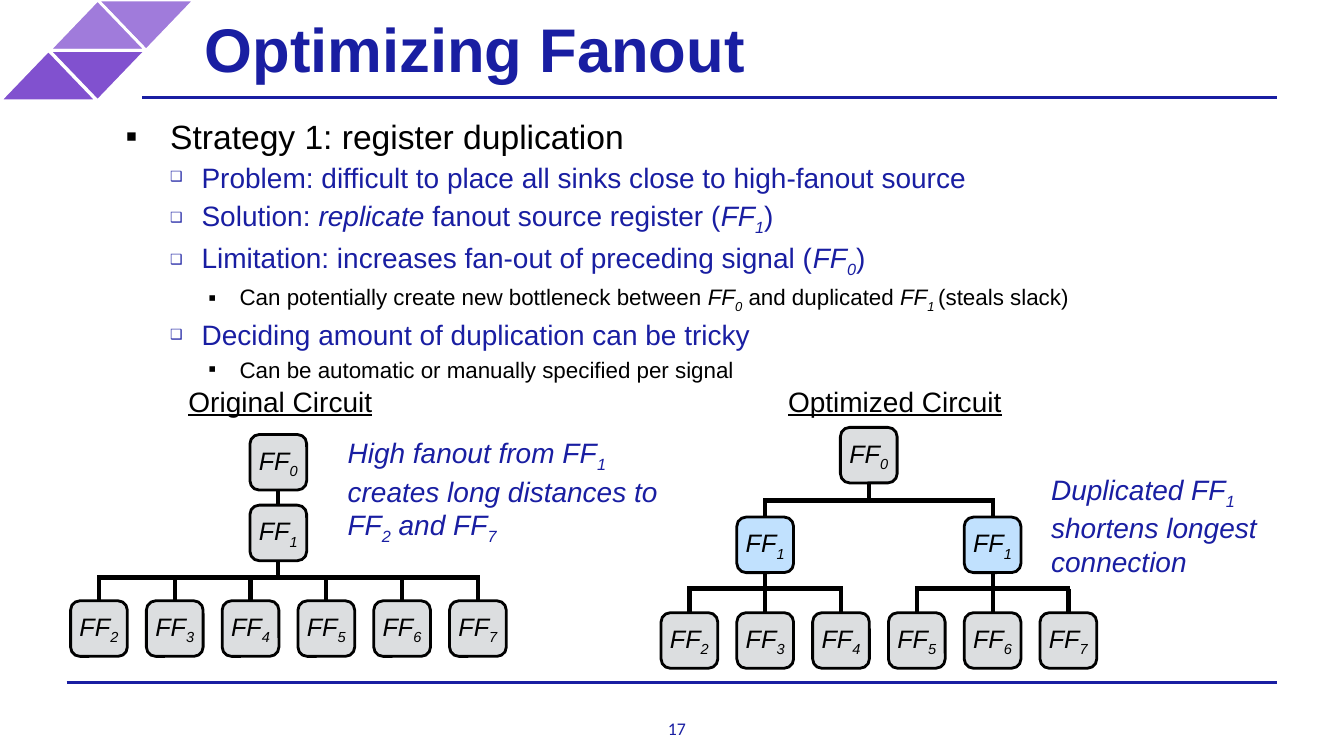
"""Build the slide on optimizing fanout by register duplication."""
from dataclasses import dataclass
from typing import NamedTuple

from lxml import etree
from pptx import Presentation
from pptx import util as u
from pptx.dml import color
from pptx.enum import shapes, text
from pptx.oxml import ns

NAVY, BLACK, WHITE = "191EA2", "000000", "FFFFFF"
GREY, SKY, LILAC, PURPLE = "DCDEE0", "C1E1FE", "A07BDB", "8151CF"
WIDE, HIGH, STEP = 1.43, 1.4, 1.91
LEFT, MID = text.PP_ALIGN.LEFT, text.PP_ALIGN.CENTER
TOP, CORE = text.MSO_ANCHOR.TOP, text.MSO_ANCHOR.MIDDLE


class Bit(NamedTuple):
    text: str
    ital: bool = False
    sub: bool = False


class Style(NamedTuple):
    size: float
    ink: str = BLACK
    bold: bool = False
    line: bool = False
    font: str = "Arial"


class Level(NamedTuple):
    style: Style
    left: float
    hang: float
    gap: float
    mark: str
    scale: int


class Item(NamedTuple):
    level: int
    bits: list[Bit]


class Note(NamedTuple):
    x: float
    y: float
    w: float
    h: float
    bits: list[Bit]
    style: Style
    inset: float = 0.15
    pad: float = 0
    align: text.PP_ALIGN = LEFT
    wrap: bool = True


class Tile(NamedTuple):
    x: float
    y: float
    fill: str
    turn: int


@dataclass
class Node:
    x: float
    y: float
    num: int
    fill: str = GREY

    @property
    def mid(self) -> float:
        return self.x + WIDE / 2

    @property
    def base(self) -> float:
        return self.y + HIGH


def ff(num: int) -> list[Bit]:
    return [Bit("FF", True), Bit(str(num), True, True)]


LEVELS = [
    Level(Style(24), 1.27, 1.12, 6, "▪", 100),
    Level(Style(20, NAVY), 2.06, 0.79, 3, "❑", 50),
    Level(Style(16), 3.02, 0.79, 3, "▪", 100),
]
ITEMS = [
    Item(0, [Bit("Strategy 1: register duplication")]),
    Item(1, [Bit("Problem: difficult to place all sinks close to high-fanout source")]),
    Item(1, [Bit("Solution: "), Bit("replicate", True),
             Bit(" fanout source register ("), *ff(1), Bit(")")]),
    Item(1, [Bit("Limitation: increases fan-out of preceding signal ("), *ff(0), Bit(")")]),
    Item(2, [Bit("Can potentially create new bottleneck between "), *ff(0),
             Bit(" and duplicated "), Bit("FF", True), Bit("1 ", True, True),
             Bit("(steals slack)")]),
    Item(1, [Bit("Deciding amount of duplication can be tricky")]),
    Item(2, [Bit("Can be automatic or manually specified per signal")]),
]
HEAD, SIDE = Style(20, line=True), Style(20, NAVY)
NOTES = [
    Note(4.8, 0, 25.6, 2.41, [Bit("Optimizing Fanout")], Style(44, NAVY, True), 0.36),
    Note(16.81, 18.08, 0.5, 0.54, [Bit("17")], Style(12.7, NAVY, font="Calibri"),
         0, align=MID, wrap=False),
    Note(4.6, 9.53, 5.26, 1.14, [Bit("Original Circuit")], HEAD),
    Note(19.71, 9.53, 5.79, 1.14, [Bit("Optimized Circuit")], HEAD),
    Note(8.46, 11.33, 8.46, 2.08,
         [Bit("High fanout from ", True), *ff(1), Bit("\n"),
          Bit("creates long distances to ", True), *ff(2),
          Bit(" and ", True), *ff(7)], SIDE, pad=0.15),
    Note(26.19, 12.19, 5.79, 2.08,
         [Bit("Duplicated ", True), *ff(1), Bit("\n"),
          Bit("shortens longest connection", True)], SIDE, pad=0.15),
]
TILES = [Tile(2.46, 0, LILAC, 180), Tile(1.24, 0, LILAC, 0),
         Tile(1.24, 1.27, PURPLE, 180), Tile(0, 1.27, PURPLE, 0)]


def hue(code: str) -> color.RGBColor:
    return color.RGBColor.from_string(code)


def write(para, bits: list[Bit], style: Style) -> None:
    for bit in bits:
        if bit.text == "\n":
            para.add_line_break()
            continue
        run = para.add_run()
        run.text = bit.text
        font = run.font
        font.name, font.size = style.font, u.Pt(style.size)
        font.bold, font.italic, font.underline = style.bold, bit.ital, style.line
        font.color.rgb = hue(style.ink)
        if bit.sub:
            font._element.set("baseline", "-25000")


def frame(shape, inset: float, anchor: text.MSO_ANCHOR, wrap: bool = True):
    body = shape.text_frame
    body.word_wrap, body.vertical_anchor = wrap, anchor
    body.margin_left = body.margin_right = u.Cm(inset)
    body.margin_top = body.margin_bottom = u.Cm(inset)
    return body


def box(pen, x: float, y: float, w: float, h: float):
    return pen.add_textbox(u.Cm(x), u.Cm(y), u.Cm(w), u.Cm(h))


def block(pen, kind, x: float, y: float, w: float, h: float, fill: str, edge: str):
    shape = pen.add_shape(kind, u.Cm(x), u.Cm(y), u.Cm(w), u.Cm(h))
    shape.shadow.inherit = False
    shape.fill.solid()
    shape.fill.fore_color.rgb = hue(fill)
    shape.line.color.rgb = hue(edge)
    shape.line.width = u.Pt(2)
    return shape


def wire(pen, x: float, y: float, to_x: float, to_y: float,
         ink: str = BLACK, size: float = 3) -> None:
    line = pen.add_connector(shapes.MSO_CONNECTOR.STRAIGHT,
                             u.Cm(x), u.Cm(y), u.Cm(to_x), u.Cm(to_y))
    line.line.color.rgb = hue(ink)
    line.line.width = u.Pt(size)
    etree.SubElement(line._element.spPr, ns.qn("a:effectLst"))


def fan(pen, root: Node, kids: list[Node], bar: float) -> None:
    wire(pen, root.mid, root.base, root.mid, bar)
    wire(pen, kids[0].mid - 0.05, bar, kids[-1].mid + 0.05, bar)
    for kid in kids:
        wire(pen, kid.mid, bar, kid.mid, kid.y)


def place(pen, node: Node) -> None:
    shape = block(pen, shapes.MSO_SHAPE.ROUNDED_RECTANGLE,
                  node.x, node.y, WIDE, HIGH, node.fill, BLACK)
    para = frame(shape, 0.15, CORE).paragraphs[0]
    para.alignment = MID
    write(para, ff(node.num), Style(18))


def label(pen, note: Note) -> None:
    shape = box(pen, note.x, note.y, note.w, note.h)
    para = frame(shape, note.inset, CORE, note.wrap).paragraphs[0]
    para.alignment = note.align
    para._p.get_or_add_pPr().set("marL", str(u.Cm(note.pad)))
    write(para, note.bits, note.style)


def outline(pen) -> None:
    body = frame(box(pen, 3.02, 2.92, 28.85, 5.61), 0, TOP)
    for pos, item in enumerate(ITEMS):
        para = body.add_paragraph() if pos else body.paragraphs[0]
        level = LEVELS[item.level]
        para.level, para.space_before = item.level, u.Pt(level.gap)
        props = para._p.get_or_add_pPr()
        props.set("marL", str(u.Cm(level.left)))
        props.set("indent", str(-u.Cm(level.hang)))
        etree.SubElement(props, ns.qn("a:buSzPct"), val=str(level.scale * 1000))
        etree.SubElement(props, ns.qn("a:buFont"), typeface="Arial")
        etree.SubElement(props, ns.qn("a:buChar"), char=level.mark)
        write(para, item.bits, level.style)


def row(x: float, y: float) -> list[Node]:
    return [Node(x + STEP * pos, y, pos + 2) for pos in range(6)]


def main() -> None:
    deck = Presentation()
    deck.slide_width, deck.slide_height = u.Cm(33.87), u.Cm(19.05)
    pen = deck.slides.add_slide(deck.slide_layouts[6]).shapes
    wire(pen, 1.68, 17.2, 32.18, 17.2, NAVY, 2)
    for tile in TILES:
        block(pen, shapes.MSO_SHAPE.ISOSCELES_TRIANGLE, tile.x, tile.y,
              2.44, 1.27, tile.fill, WHITE).rotation = tile.turn
    wire(pen, 3.58, 2.46, 32.18, 2.46, NAVY, 2)
    outline(pen)
    for note in NOTES:
        label(pen, note)

    top, hub, sinks = Node(6.3, 10.95, 0), Node(6.3, 12.73, 1), row(1.78, 15.14)
    wire(pen, top.mid, top.base, hub.mid, hub.y)
    fan(pen, hub, sinks, 14.55)

    head, ends = Node(21.18, 10.77, 0), row(16.66, 15.44)
    twins = [Node(ends[pos].x, 13.03, 1, SKY) for pos in (1, 4)]
    fan(pen, head, twins, 12.61)
    for twin, kids in zip(twins, (ends[:3], ends[3:])):
        fan(pen, twin, kids, 14.83)
    for node in [top, hub, *sinks, head, *twins, *ends]:
        place(pen, node)
    deck.save("out.pptx")


if __name__ == "__main__":
    main()
